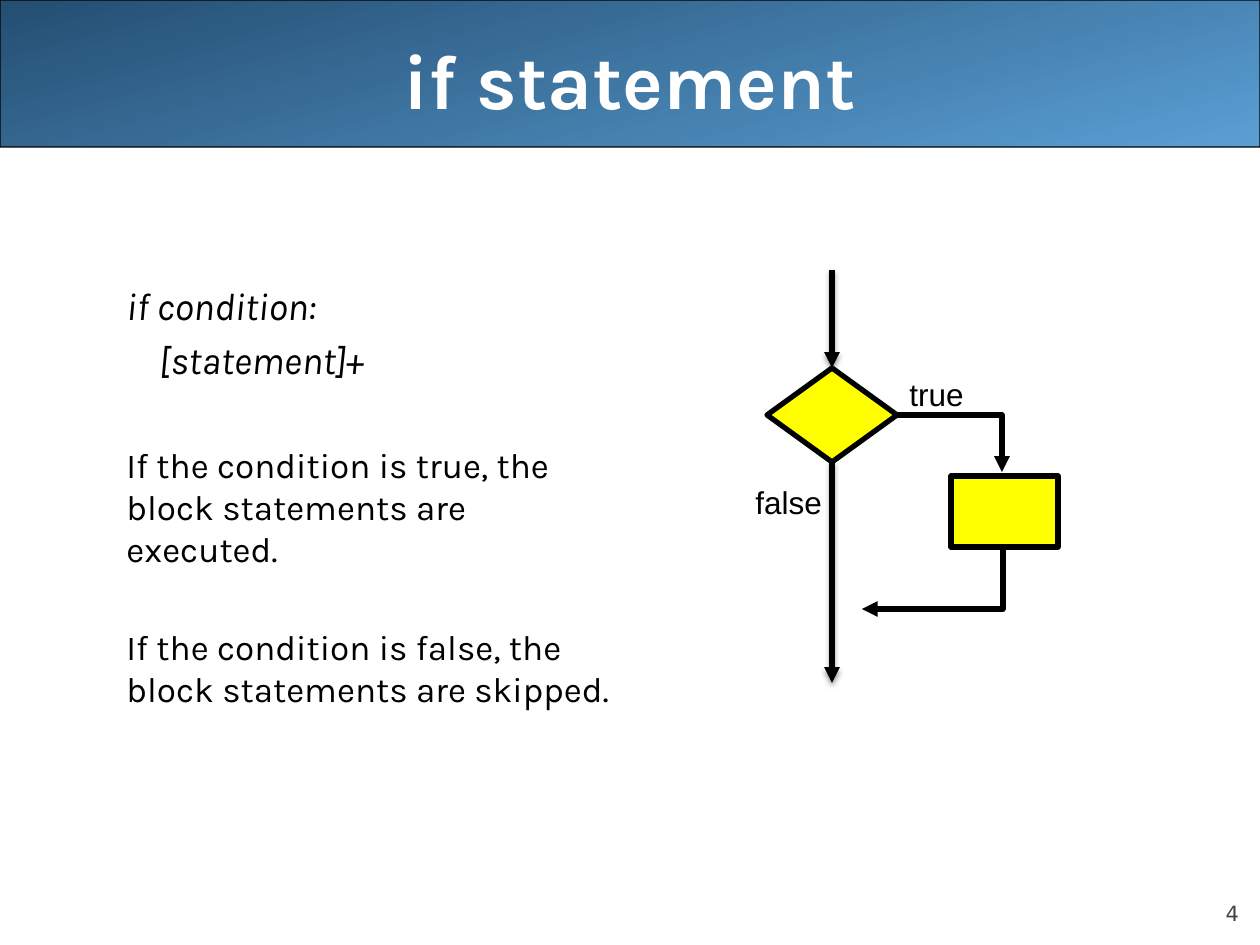
from dataclasses import dataclass

import lxml.etree
import pptx
import pptx.dml.color
import pptx.enum.shapes
import pptx.enum.text
import pptx.oxml
import pptx.oxml.ns
import pptx.util

PIXEL = 914400 / 126
SHAPE = pptx.enum.shapes.MSO_SHAPE
CONNECTOR = pptx.enum.shapes.MSO_CONNECTOR
ALIGN = pptx.enum.text.PP_ALIGN
ANCHOR = pptx.enum.text.MSO_ANCHOR
NAMESPACE = pptx.oxml.ns.nsdecls("a")
EFFECTS = f"<a:effectLst {NAMESPACE}/>"
SHADOW = (
    f'<a:effectLst {NAMESPACE}><a:outerShdw blurRad="39370" dist="20320" dir="5400000">'
    '<a:srgbClr val="000000"><a:alpha val="38000"/></a:srgbClr></a:outerShdw></a:effectLst>'
)


@dataclass
class Box:
    left: int
    top: int
    width: int
    height: int

    def lengths(self) -> list[int]:
        return [px(value) for value in (self.left, self.top, self.width, self.height)]


@dataclass
class Line:
    text: str
    size: int
    font: str = "Karla"
    color: str = "000000"
    bold: bool = False
    italic: bool = False
    align: ALIGN = ALIGN.LEFT
    space_before: float = 0
    indent: int = 0


@dataclass
class Arrow:
    start: tuple[int, int]
    end: tuple[int, int]
    bend: int | None = None


def px(value: int) -> int:
    return round(value * PIXEL)


def rgb(color: str) -> pptx.dml.color.RGBColor:
    return pptx.dml.color.RGBColor.from_string(color)


def add_text(slide, box: Box, lines: list[Line], anchor=ANCHOR.TOP, wrap=True, inset=True) -> None:
    frame = slide.shapes.add_textbox(*box.lengths()).text_frame
    frame.word_wrap = wrap
    frame.vertical_anchor = anchor
    if not inset:
        frame.margin_left = frame.margin_right = frame.margin_top = frame.margin_bottom = 0
    for index, line in enumerate(lines):
        paragraph = frame.add_paragraph() if index else frame.paragraphs[0]
        paragraph.text = line.text
        paragraph.alignment = line.align
        paragraph.space_before = pptx.util.Pt(line.space_before)
        if line.indent:
            paragraph._p.get_or_add_pPr().set("marL", str(px(line.indent)))
        font = paragraph.font
        font.name, font.size = line.font, pptx.util.Pt(line.size)
        font.bold, font.italic = line.bold, line.italic
        font.color.rgb = rgb(line.color)


def add_outlined_shape(slide, kind: SHAPE, box: Box, line_width: float):
    shape = slide.shapes.add_shape(kind, *box.lengths())
    shape.shadow.inherit = False
    shape.line.color.rgb = rgb("000000")
    shape.line.width = pptx.util.Pt(line_width)
    return shape


def add_banner(slide) -> None:
    banner = add_outlined_shape(slide, SHAPE.ROUNDED_RECTANGLE, Box(0, 0, 1260, 147), 0.75)
    banner.adjustments[0] = 0.001
    banner.fill.gradient()
    banner.fill.gradient_angle = 285
    for stop, color in zip(banner.fill.gradient_stops, ("244E72", "5A9FD4")):
        stop.color.rgb = rgb(color)


def add_flow_node(slide, kind: SHAPE, box: Box) -> None:
    node = add_outlined_shape(slide, kind, box, 3)
    node.fill.solid()
    node.fill.fore_color.rgb = rgb("FFFF00")


def add_arrow(slide, arrow: Arrow) -> None:
    bent = arrow.bend is not None
    kind = CONNECTOR.ELBOW if bent else CONNECTOR.STRAIGHT
    connector = slide.shapes.add_connector(kind, *map(px, arrow.start + arrow.end))
    connector.line.color.rgb = rgb("000000")
    connector.line.width = pptx.util.Pt(3)
    properties = connector._element.spPr
    tail = lxml.etree.SubElement(connector.line._get_or_add_ln(), pptx.oxml.ns.qn("a:tailEnd"))
    tail.set("type", "triangle")
    properties.append(pptx.oxml.parse_xml(EFFECTS if bent else SHADOW))
    if bent:
        geometry = properties.find(pptx.oxml.ns.qn("a:prstGeom"))
        guides = geometry.find(pptx.oxml.ns.qn("a:avLst"))
        guide = lxml.etree.SubElement(guides, pptx.oxml.ns.qn("a:gd"))
        guide.set("name", "adj1")
        guide.set("fmla", f"val {arrow.bend * 1000}")


def main() -> None:
    presentation = pptx.Presentation()
    presentation.slide_width, presentation.slide_height = px(1260), px(945)
    slide = presentation.slides.add_slide(presentation.slide_layouts[6])

    add_banner(slide)
    page_number = Line("4", 12, "DejaVu Sans", "424242", align=ALIGN.RIGHT, space_before=5)
    add_text(slide, Box(1134, 876, 105, 50), [page_number], ANCHOR.BOTTOM, inset=False)
    title = Line("if statement", 44, color="FFFFFF", bold=True, align=ALIGN.CENTER)
    add_text(slide, Box(63, 0, 1134, 158), [title], ANCHOR.MIDDLE)
    add_text(slide, Box(114, 276, 520, 457), [
        Line("if condition:", 22, italic=True, space_before=4.5),
        Line("[statement]+", 22, italic=True, space_before=4.5, indent=33),
        Line("If the condition is true, the block statements are executed.", 20, space_before=35),
        Line("If the condition is false, the block statements are skipped.", 20, space_before=32),
    ])

    add_flow_node(slide, SHAPE.DIAMOND, Box(767, 368, 130, 94))
    add_flow_node(slide, SHAPE.RECTANGLE, Box(951, 476, 107, 71))
    for arrow in (
        Arrow((832, 270), (832, 368)),
        Arrow((832, 462), (832, 683)),
        Arrow((892, 415), (1002, 472), bend=100),
        Arrow((1003, 547), (862, 609), bend=0),
    ):
        add_arrow(slide, arrow)
    for label, box in (("true", Box(897, 369, 81, 50)), ("false", Box(743, 477, 92, 50))):
        add_text(slide, box, [Line(label, 18, "Arial")], wrap=False)

    presentation.save("out.pptx")


if __name__ == "__main__":
    main()
